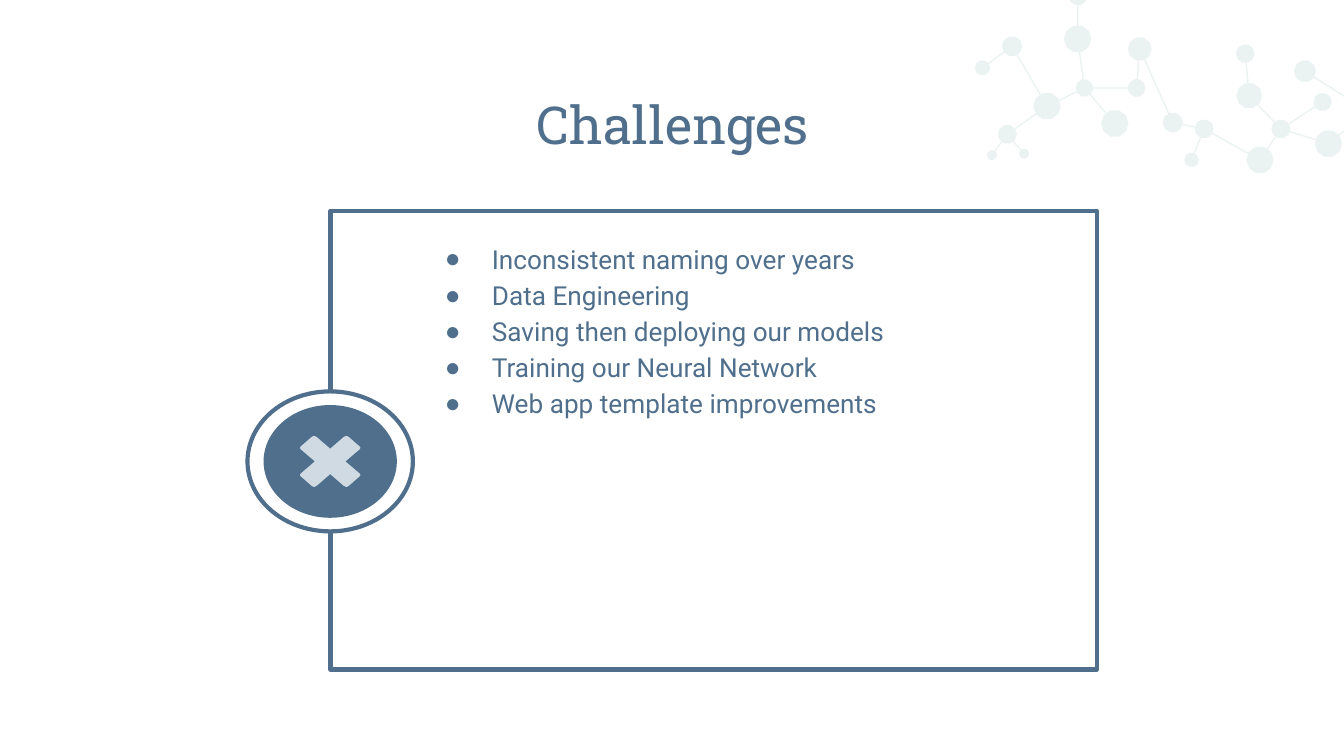
import math
from dataclasses import dataclass

from lxml import etree
from pptx import Presentation
from pptx.dml import color
from pptx.enum import shapes, text
from pptx.oxml import ns
from pptx.util import Pt


@dataclass(frozen=True)
class Theme:
    ink: str = "4F6F8C"
    paper: str = "FFFFFF"
    cross: str = "CFDAE2"
    network: str = "EBF2F2"
    title_font: str = "Roboto Slab"
    body_font: str = "Roboto"
    title_size: float = 28
    body_size: float = 14
    outline: float = 2.25
    link: float = 0.7


THEME = Theme()
NODE_CORNERS = 10
BADGE_CENTER = (176.9, 247.2)
CHALLENGES = [
    "Inconsistent naming over years",
    "Data Engineering",
    "Saving then deploying our models",
    "Training our Neural Network",
    "Web app template improvements",
]
NODES = {
    "a": (526.3, 36.4, 4), "b": (542.2, 24.8, 5.3), "c": (560.9, 56.9, 7.2),
    "d": (539.6, 72, 5), "e": (531.4, 83.2, 2.6), "f": (548.6, 82.4, 2.6),
    "g": (577.4, -2.2, 5), "h": (577.3, 20.9, 7.2), "i": (581, 47.2, 4.6),
    "j": (597.2, 66.2, 7.2), "k": (608.9, 47.2, 4.7), "l": (610.6, 26.3, 6.3),
    "m": (628.3, 65.7, 5.3), "n": (645.1, 69.1, 5), "o": (638.3, 85.7, 3.8),
    "p": (675, 85.7, 7.2), "q": (686.2, 69.1, 5), "r": (669.2, 51.3, 6.8),
    "s": (667.1, 28.8, 4.9), "t": (708.5, 54.7, 4.8), "u": (711.7, 77, 7.2),
    "v": (699.1, 38.2, 5.8), "w": (733, 59.8, 7.2), "x": (745.9, 80.6, 5),
    "y": (775.4, 37.8, 9.7), "z": (793.4, 65.9, 5.4), "A": (806.4, 78.8, 3.2),
    "B": (807.5, 55.8, 3.2),
}
LINKS = ("ab bc cd de df ci gh hi ij ik kl lm mn no np pq qr rs qt qu "
         "vw uw wx wy yz zA zB").split()


def rgb(value):
    return color.RGBColor.from_string(value)


def style(sp, fill=None, line=None):
    sp.shadow.inherit = False
    if fill:
        sp.fill.solid()
        sp.fill.fore_color.rgb = rgb(fill)
    else:
        sp.fill.background()
    if line:
        sp.line.color.rgb = rgb(line)
        sp.line.width = Pt(THEME.outline)
    else:
        sp.line.fill.background()


def add_outline(parent, contours, fill):
    contours = [[(Pt(x), Pt(y)) for x, y in contour] for contour in contours]
    builder = parent.build_freeform(*contours[0][0])
    for i, contour in enumerate(contours):
        if i:
            builder.move_to(*contour[0])
        builder.add_line_segments(contour[1:], close=True)
    style(builder.convert_to_shape(), fill)


def node_contour(x, y, radius):
    angles = [2 * math.pi * i / NODE_CORNERS for i in range(NODE_CORNERS)]
    r = radius * 1.02
    return [(x + r * math.cos(a), y + r * math.sin(a)) for a in angles]


def link_contour(start, end):
    (x1, y1, r1), (x2, y2, r2) = start, end
    length = math.hypot(x2 - x1, y2 - y1)
    dx, dy = (x2 - x1) / length, (y2 - y1) / length
    x1, y1, x2, y2 = x1 + dx * r1, y1 + dy * r1, x2 - dx * r2, y2 - dy * r2
    sx, sy = -dy * THEME.link / 2, dx * THEME.link / 2
    return [(x1 + sx, y1 + sy), (x2 + sx, y2 + sy), (x2 - sx, y2 - sy), (x1 - sx, y1 - sy)]


def add_network(s):
    contours = [node_contour(*node) for node in NODES.values()]
    contours += [link_contour(NODES[first], NODES[second]) for first, second in LINKS]
    add_outline(s.shapes, contours, THEME.network)


def add_ellipse(parent, center, rx, ry, fill, line=None):
    x, y = center
    sp = parent.add_shape(shapes.MSO_SHAPE.OVAL, Pt(x - rx), Pt(y - ry), Pt(2 * rx), Pt(2 * ry))
    style(sp, fill, line)


def add_card(s):
    card = s.shapes.add_shape(
        shapes.MSO_SHAPE.ROUNDED_RECTANGLE, Pt(177.1), Pt(113), Pt(410.5), Pt(245.7))
    card.adjustments[0] = 0
    style(card, line=THEME.ink)
    return card


def add_cross(parent, center):
    arm = [(0, -6.8), (7.4, -13.2), (8.7, -13.7), (9.8, -13.2),
           (15.8, -8), (16.2, -7.3), (15.8, -6.5), (8.2, 0)]
    right = arm + [(x, -y) for x, y in reversed(arm[:-1])]
    outline = right + [(-x, y) for x, y in reversed(right[1:-1])]
    add_outline(parent, [[(center[0] + x, center[1] + y) for x, y in outline]], THEME.cross)


def add_badge(s):
    group = s.shapes.add_group_shape()
    add_ellipse(group.shapes, BADGE_CENTER, 44.3, 37.5, THEME.paper, THEME.ink)
    add_ellipse(group.shapes, BADGE_CENTER, 35.7, 30.2, THEME.ink)
    add_cross(group.shapes, BADGE_CENTER)
    return group


def place_text(sp, behind, box, lines, font, size, align):
    behind.element.addnext(sp.element)
    sp.left, sp.top, sp.width, sp.height = map(Pt, box)
    tf = sp.text_frame
    tf.text = "\n".join(lines)
    tf.word_wrap = True
    tf.auto_size = text.MSO_AUTO_SIZE.NONE
    tf.vertical_anchor = text.MSO_ANCHOR.TOP
    tf.margin_left = tf.margin_right = tf.margin_top = tf.margin_bottom = Pt(7.2)
    for p in tf.paragraphs:
        p.alignment = align
        p.space_before = Pt(0)
        p.font.name = font
        p.font.size = Pt(size)
        p.font.color.rgb = rgb(THEME.ink)
    return tf


def add_bullets(tf):
    for p in tf.paragraphs:
        p.line_spacing = 1.15
        pr = p._p.get_or_add_pPr()
        pr.set("marL", str(Pt(36)))
        pr.set("indent", str(Pt(-25.2)))
        bullet = etree.Element(ns.qn("a:buChar"), char="●")
        pr.find(ns.qn("a:defRPr")).addprevious(bullet)


def main():
    prs = Presentation()
    prs.slide_width, prs.slide_height = Pt(720), Pt(405)
    s = prs.slides.add_slide(prs.slide_layouts[1])
    title, body = s.shapes.title, s.placeholders[1]
    add_network(s)
    card = add_card(s)
    badge = add_badge(s)
    tf = place_text(body, card, (220.3, 120.6, 357.8, 219.6), CHALLENGES,
                    THEME.body_font, THEME.body_size, text.PP_ALIGN.LEFT)
    add_bullets(tf)
    place_text(title, badge, (56.9, 42.1, 607, 45.4), ["Challenges"],
               THEME.title_font, THEME.title_size, text.PP_ALIGN.CENTER)
    prs.save("out.pptx")


if __name__ == "__main__":
    main()
